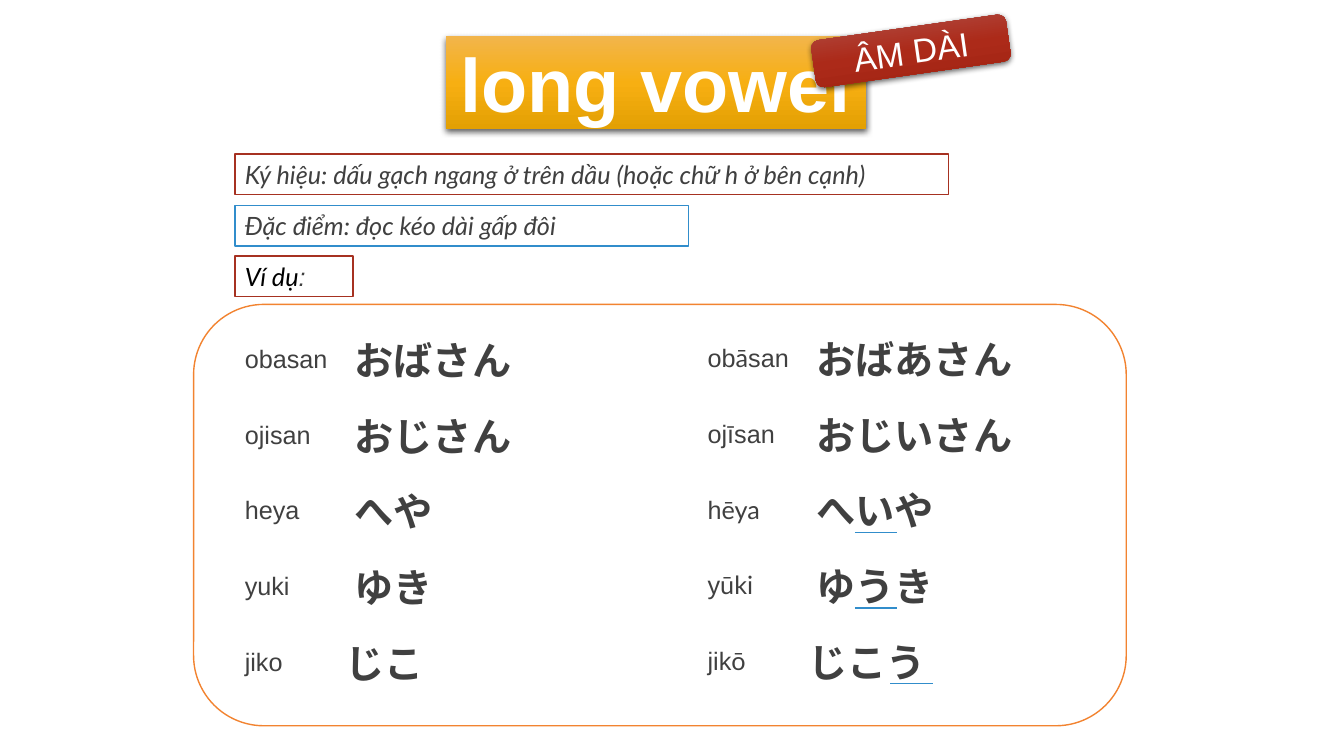
"""Build the long vowel pronunciation slide."""
from dataclasses import dataclass
from typing import Optional

from lxml.etree import SubElement
from pptx import Presentation
from pptx.dml.color import RGBColor
from pptx.enum.shapes import MSO_CONNECTOR as Connector, MSO_SHAPE as Preset
from pptx.enum.text import MSO_ANCHOR as Anchor, MSO_AUTO_SIZE as Fit, PP_ALIGN as Align
from pptx.oxml import parse_xml
from pptx.oxml.ns import nsdecls, qn
from pptx.util import Inches, Pt

COLORS = {
    "white": "FFFFFF", "black": "000000", "text": "404040",
    "orange": "F28330", "red": "A63121", "blue": "318DCB",
}
TITLE_GRADIENT = ("F2B54B", "F7AF12", "E3A003")
BADGE_GRADIENT = ("B1524C", "AC2A19", "9E2110")
FIRST_ROW, ROW_STEP = 3.36, 0.75


@dataclass
class Run:
    text: str
    font: str = "Arial"
    color: str = "text"


@dataclass
class Note:
    runs: list[Run]
    top: float
    width: float
    border: str


@dataclass
class Word:
    romaji: list[Run]
    kana: str
    shift: float = 0
    underline: Optional[float] = None


@dataclass
class Column:
    left: float
    kana_left: float
    rise: float
    words: list[Word]


NOTES = [
    Note([Run("Ký hiệu: dấu gạch ngang ở trên dầu (hoặc chữ h ở bên cạnh)", "Lato")],
         1.53, 7.08, "red"),
    Note([Run("Đặc điểm: đọc kéo dài gấp đôi", "Lato")], 2.04, 4.5, "blue"),
    Note([Run("Ví dụ", "Lato", "black"), Run(":")], 2.54, 1.17, "red"),
]
COLUMNS = [
    Column(2.33, 3.42, 0, [
        Word([Run("obasan")], "おばさん"),
        Word([Run("ojisan")], "おじさん"),
        Word([Run("heya")], "へや"),
        Word([Run("yuki")], "ゆき"),
        Word([Run("jiko")], "じこ", -0.09),
    ]),
    Column(6.92, 8, 0.01, [
        Word([Run("ob"), Run("ā", "Lato"), Run("san")], "おばあさん"),
        Word([Run("ojīsan")], "おじいさん"),
        Word([Run("h"), Run("ēya", "Lato")], "へいや", underline=8.48),
        Word([Run("y"), Run("ūki", "Lato")], "ゆうき", underline=8.48),
        Word([Run("jik"), Run("ō", "Lato")], "じこう", -0.08, 8.83),
    ]),
]


def rgb(name: str) -> RGBColor:
    """Return the named palette colour."""
    return RGBColor.from_string(COLORS[name])


def write(shape, runs: list[Run], *, size: float, bold=False, italic=False,
          align=Align.LEFT, anchor=Anchor.TOP, fit=Fit.SHAPE_TO_FIT_TEXT) -> None:
    """Fill a shape with one formatted paragraph."""
    frame = shape.text_frame
    frame.word_wrap = True
    frame.auto_size = fit
    frame.vertical_anchor = anchor
    paragraph = frame.paragraphs[0]
    paragraph.alignment = align
    for part in runs:
        run = paragraph.add_run()
        run.text = part.text
        font = run.font
        font.name, font.size = part.font, Pt(size)
        font.bold, font.italic = bold, italic
        font.color.rgb = rgb(part.color)


def add_label(slide, left: float, top: float, width: float, height: float,
              runs: list[Run], **style) -> None:
    """Add a text box holding one paragraph."""
    label = slide.shapes.add_textbox(*map(Inches, (left, top, width, height)))
    write(label, runs, **style)


def add_outline(slide, preset, left: float, top: float, width: float,
                height: float, border: str):
    """Add a white shape with a thin coloured border."""
    box = slide.shapes.add_shape(preset, *map(Inches, (left, top, width, height)))
    box.shadow.inherit = False
    box.fill.solid()
    box.fill.fore_color.rgb = rgb("white")
    box.line.color.rgb = rgb(border)
    box.line.width = Pt(1)
    return box


def add_gloss(shape, gradient: tuple[str, ...]) -> None:
    """Give a shape a vertical gradient, no outline and a soft shadow."""
    stops = "".join(
        f'<a:gs pos="{index * 50000}"><a:srgbClr val="{color}"/></a:gs>'
        for index, color in enumerate(gradient))
    properties = shape.element.spPr
    properties.append(parse_xml(
        f'<a:gradFill {nsdecls("a")} rotWithShape="1"><a:gsLst>{stops}</a:gsLst>'
        '<a:lin ang="5400000" scaled="0"/></a:gradFill>'))
    shape.line.fill.background()
    properties.append(parse_xml(
        f'<a:effectLst {nsdecls("a")}><a:outerShdw blurRad="{Pt(4.5)}" dist="{Pt(1.5)}" '
        'dir="5400000" algn="ctr" rotWithShape="0"><a:srgbClr val="000000">'
        '<a:alpha val="63000"/></a:srgbClr></a:outerShdw></a:effectLst>'))


def add_title(slide) -> None:
    """Turn the title placeholder into the rounded banner."""
    title = slide.shapes.title
    title.left, title.top, title.width, title.height = map(Inches, (4.42, 0.36, 4.17, 0.92))
    title.element.spPr.append(parse_xml(
        f'<a:prstGeom {nsdecls("a")} prst="roundRect"><a:avLst/></a:prstGeom>'))
    add_gloss(title, TITLE_GRADIENT)
    write(title, [Run("long vowel", color="white")], size=54, bold=True,
          align=Align.CENTER, anchor=Anchor.MIDDLE, fit=Fit.NONE)


def add_badge(slide) -> None:
    """Add the tilted badge over the banner."""
    badge = slide.shapes.add_shape(
        Preset.ROUNDED_RECTANGLE, *map(Inches, (8.06, 0.27, 1.95, 0.47)))
    badge.rotation = 351.9
    add_gloss(badge, BADGE_GRADIENT)
    write(badge, [Run("ÂM DÀI", color="white")], size=24,
          align=Align.CENTER, anchor=Anchor.MIDDLE, fit=Fit.NONE)


def add_underline(slide, left: float, top: float) -> None:
    """Underline the lengthening kana."""
    rule = slide.shapes.add_connector(
        Connector.STRAIGHT, *map(Inches, (left, top, left + 0.42, top)))
    rule.line.color.rgb = rgb("blue")
    rule.line.width = Pt(1)
    SubElement(rule.element.spPr, qn("a:effectLst"))


def add_column(slide, column: Column) -> None:
    """Add one column of romaji and kana words."""
    for row, word in enumerate(column.words):
        baseline = FIRST_ROW + row * ROW_STEP
        top = baseline - column.rise
        add_label(slide, column.left, top, 1.17, 0.4, word.romaji, size=18)
        add_label(slide, column.kana_left + word.shift, top - 0.07, 2.33, 0.57,
                  [Run(word.kana)], size=28, bold=True)
        if word.underline is not None:
            add_underline(slide, word.underline, baseline + 0.42)


def main() -> None:
    """Build and save the slide."""
    deck = Presentation()
    deck.slide_width, deck.slide_height = Inches(13.33), Inches(7.5)
    slide = deck.slides.add_slide(deck.slide_layouts[5])
    add_title(slide)
    add_outline(slide, Preset.ROUNDED_RECTANGLE, 1.92, 3.02, 9.25, 4.18, "orange")
    for note in NOTES:
        box = add_outline(slide, Preset.RECTANGLE, 2.33, note.top, note.width, 0.4, note.border)
        write(box, note.runs, size=18, italic=True)
    for column in COLUMNS:
        add_column(slide, column)
    add_badge(slide)
    deck.save("out.pptx")


if __name__ == "__main__":
    main()
